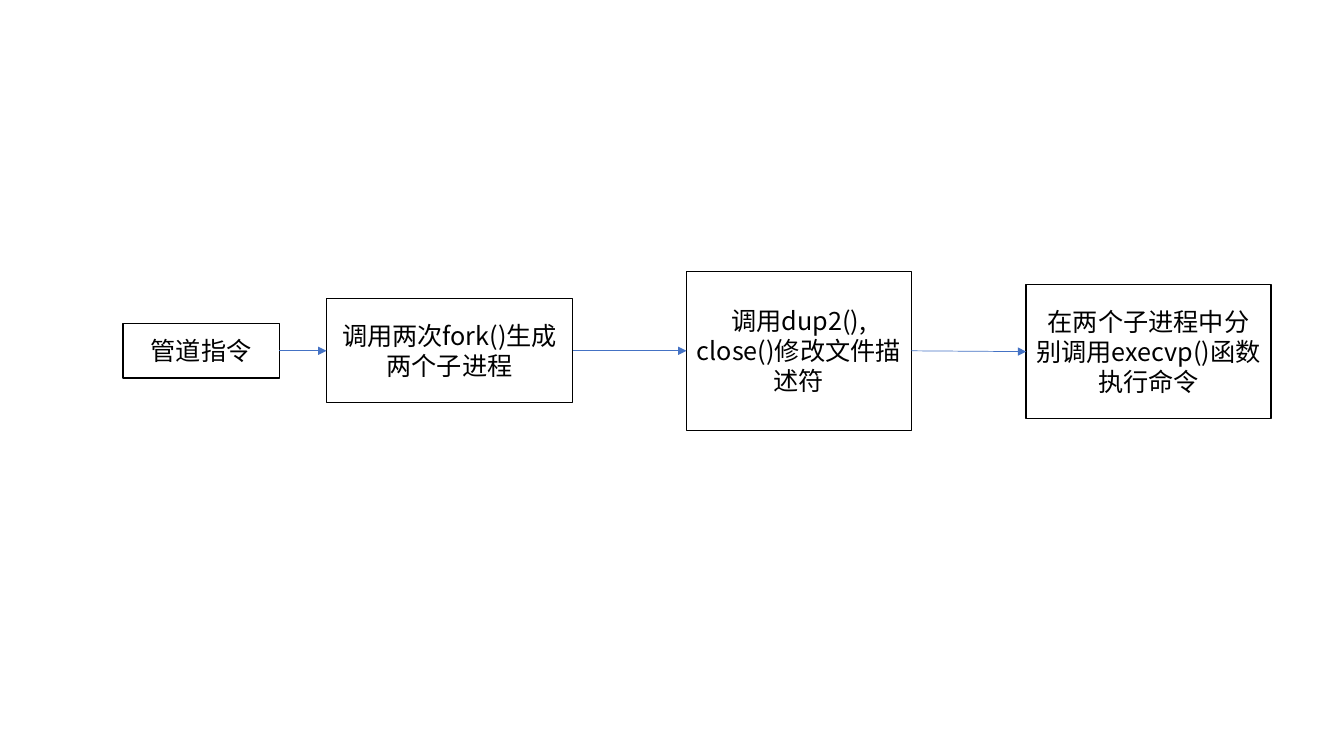
from dataclasses import dataclass

from lxml import etree
from pptx import Presentation
from pptx.dml.color import RGBColor
from pptx.enum.shapes import MSO_CONNECTOR, MSO_SHAPE
from pptx.enum.text import MSO_ANCHOR, PP_ALIGN
from pptx.oxml.ns import qn
from pptx.shapes.autoshape import Shape
from pptx.slide import Slide
from pptx.util import Cm, Pt

RECT = MSO_SHAPE.RECTANGLE
PROCESS = MSO_SHAPE.FLOWCHART_PROCESS
STRAIGHT = MSO_CONNECTOR.STRAIGHT
CENTER = PP_ALIGN.CENTER
MIDDLE = MSO_ANCHOR.MIDDLE

BLACK = RGBColor(0x00, 0x00, 0x00)
WHITE = RGBColor(0xFF, 0xFF, 0xFF)
BLUE = RGBColor(0x44, 0x72, 0xC4)
FONT = "Noto Sans CJK SC"
LEFT_SITE, RIGHT_SITE = 1, 3


@dataclass(frozen=True)
class Step:
    """One box of the flow, in centimetres."""
    text: str
    left: float
    width: float
    height: float
    middle: float = 8.84
    kind: MSO_SHAPE = RECT


STEPS = [
    Step("管道指令", 3.1, 3.94, 1.37),
    Step("调用两次fork()生成两个子进程", 8.23, 6.2, 2.62),
    Step("调用dup2(), close()修改文件描述符", 17.3, 5.67, 4.01),
    Step("在两个子进程中分别调用execvp()函数执行命令",
         25.86, 6.17, 3.38, 8.86, PROCESS),
]


def add_step(slide: Slide, step: Step) -> Shape:
    sp = slide.shapes.add_shape(
        step.kind, Cm(step.left), Cm(step.middle - step.height / 2),
        Cm(step.width), Cm(step.height))
    sp.shadow.inherit = False
    sp.fill.solid()
    sp.fill.fore_color.rgb = WHITE
    sp.line.color.rgb = BLACK
    sp.line.width = Pt(1)

    tf = sp.text_frame
    tf.word_wrap = True
    tf.vertical_anchor = MIDDLE
    p = tf.paragraphs[0]
    p.alignment = CENTER
    p.line_spacing = Pt(21.5)
    p.font.size = Pt(18)
    p.font.name = FONT
    p.font.color.rgb = BLACK
    r = p.add_run()
    r.text = step.text
    # East Asian characters take their typeface from a:ea
    etree.SubElement(r.font._element, qn("a:ea"), typeface=FONT)
    return sp


def add_arrow(slide: Slide, source: Shape, target: Shape) -> None:
    cxn = slide.shapes.add_connector(STRAIGHT, 0, 0, 0, 0)
    cxn.begin_connect(source, RIGHT_SITE)
    cxn.end_connect(target, LEFT_SITE)
    cxn.line.color.rgb = BLUE
    cxn.line.width = Pt(0.5)
    etree.SubElement(cxn.line._get_or_add_ln(), qn("a:tailEnd"), type="triangle")
    etree.SubElement(cxn._element.spPr, qn("a:effectLst"))


def main() -> None:
    prs = Presentation()
    prs.slide_width, prs.slide_height = Cm(33.87), Cm(19.05)
    slide = prs.slides.add_slide(prs.slide_layouts[6])

    # Boxes of the flow
    boxes = [add_step(slide, step) for step in STEPS]

    # Arrows between neighbours
    for source, target in zip(boxes, boxes[1:]):
        add_arrow(slide, source, target)

    prs.save("out.pptx")


if __name__ == "__main__":
    main()
